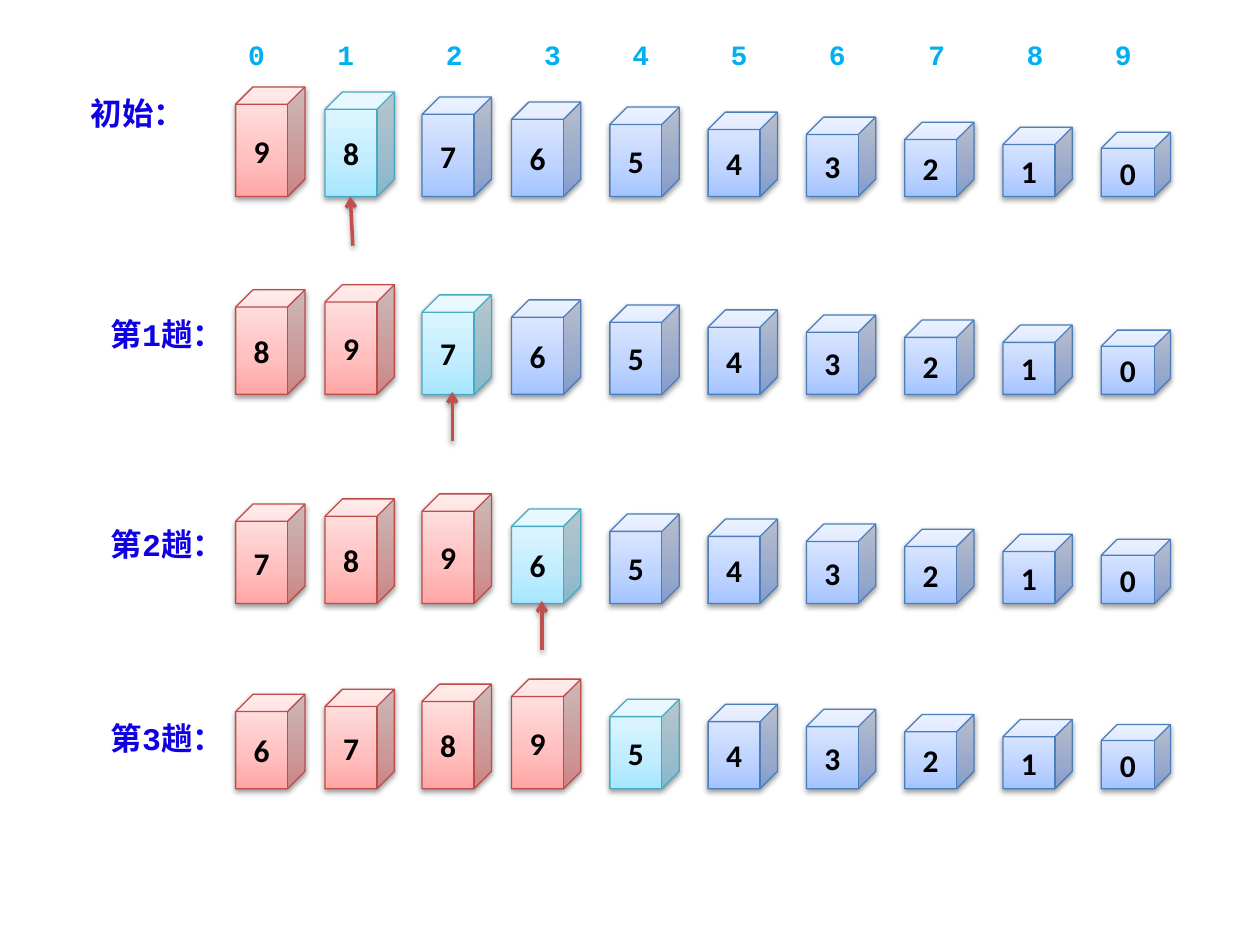
from copy import deepcopy

from pptx import Presentation
from pptx.dml.color import RGBColor
from pptx.enum.shapes import MSO_CONNECTOR, MSO_SHAPE
from pptx.enum.text import MSO_ANCHOR, MSO_AUTO_SIZE, PP_ALIGN
from pptx.oxml import parse_xml
from pptx.oxml.ns import nsdecls, qn
from pptx.util import Inches, Pt

COLORS = {"label": "1000E4", "index": "00B0F0", "value": "000000",
          "arrow": "C0504D", "shadow": "000000"}
CUBE_STYLES = {
    "sorted": {"stops": ("FFA6A5", "FFC0BF", "FFE7E7"), "edge": "BF4C48"},
    "current": {"stops": ("A7E6FF", "C1EDFF", "E7F8FF"), "edge": "46AAC5"},
    "waiting": {"stops": ("A4C4FF", "BFD4FF", "E6EEFF"), "edge": "4B7EBC"},
}
STOP_POSITIONS = (0, 0.35, 1)
COLUMNS = [1.87, 2.58, 3.35, 4.06] + [4.84 + 0.78 * step for step in range(6)]
INDEX_LEFTS = (1.87, 2.58, 3.44, 4.22, 4.92, 5.7, 6.48, 7.27, 8.05, 8.75)
CUBE_WIDTH, LOWEST_CUBE, CUBE_STEP = 0.55, 0.51, 0.04
ARROW_LENGTH = 0.39
PASSES = (
    {"label": "初始：", "label_box": (0.62, 0.7, 1.09, 0.4), "base": 1.56,
     "arrow": {"tail": 0.22, "tip": 0.2, "overlap": 0}},
    {"label": "第1趟：", "label_box": (0.78, 2.45, 0.94, 0.4), "base": 3.13,
     "arrow": {"tail": 0.24, "tip": 0.24, "overlap": 0.02}},
    {"label": "第2趟：", "label_box": (0.78, 4.12, 0.94, 0.4), "base": 4.79,
     "arrow": {"tail": 0.24, "tip": 0.24, "overlap": 0.02}},
    {"label": "第3趟：", "label_box": (0.78, 5.66, 0.94, 0.4), "base": 6.26,
     "arrow": None},
)


def rgb(hex_color):
    """Turn a hex string into a colour."""
    return RGBColor.from_string(hex_color)


def format_paragraph(paragraph, text, font_name, size, color):
    """Write bold text in one font."""
    paragraph.text = text
    font = paragraph.font
    font.name, font.size, font.bold = font_name, Pt(size), True
    font.color.rgb = rgb(color)


def add_shadow(item):
    """Give a shape or connector a soft shadow straight below it."""
    properties = item._element.spPr
    for effects in properties.findall(qn("a:effectLst")):
        properties.remove(effects)
    properties.append(parse_xml(
        f'<a:effectLst {nsdecls("a")}><a:outerShdw blurRad="40000" dist="20000" '
        f'dir="5400000" rotWithShape="0"><a:srgbClr val="{COLORS["shadow"]}">'
        '<a:alpha val="38000"/></a:srgbClr></a:outerShdw></a:effectLst>'))


def fill_upward(shape, stop_colors):
    """Fill a shape with a three-stop gradient that runs from bottom to top."""
    shape.fill.gradient()
    shape.fill.gradient_angle = 90
    stop_list = shape._element.spPr.find(qn("a:gradFill")).find(qn("a:gsLst"))
    stop_list.append(deepcopy(stop_list[-1]))
    for stop, color, position in zip(shape.fill.gradient_stops, stop_colors, STOP_POSITIONS):
        stop.color.rgb = rgb(color)
        stop.position = position


def add_label(shapes, box, text, size, color):
    """Place a wrapped Courier label in its box."""
    label = shapes.add_textbox(*map(Inches, box))
    frame = label.text_frame
    frame.word_wrap = True
    frame.auto_size = MSO_AUTO_SIZE.SHAPE_TO_FIT_TEXT
    format_paragraph(frame.paragraphs[0], text, "Courier New", size, color)


def add_cube(shapes, left, base, value, style):
    """Stand a cube on the base line, as tall as its value asks."""
    height = LOWEST_CUBE + CUBE_STEP * value
    cube = shapes.add_shape(MSO_SHAPE.CUBE, Inches(left), Inches(base - height),
                            Inches(CUBE_WIDTH), Inches(height))
    fill_upward(cube, style["stops"])
    cube.line.color.rgb = rgb(style["edge"])
    cube.line.width = Pt(0.75)
    add_shadow(cube)
    cube.text_frame.vertical_anchor = MSO_ANCHOR.MIDDLE
    paragraph = cube.text_frame.paragraphs[0]
    format_paragraph(paragraph, str(value), "Calibri", 18, COLORS["value"])
    paragraph.alignment = PP_ALIGN.CENTER


def add_pointer(shapes, left, base, arrow):
    """Point an arrow up at the cube that is inserted next."""
    tip_y = base - arrow["overlap"]
    pointer = shapes.add_connector(
        MSO_CONNECTOR.STRAIGHT,
        Inches(left + arrow["tail"]), Inches(tip_y + ARROW_LENGTH),
        Inches(left + arrow["tip"]), Inches(tip_y))
    pointer.line.color.rgb = rgb(COLORS["arrow"])
    pointer.line.width = Pt(2)
    pointer.line._get_or_add_ln().append(
        parse_xml(f'<a:tailEnd {nsdecls("a")} type="arrow"/>'))
    add_shadow(pointer)


def add_index_row(shapes):
    """Number the columns."""
    for index, left in enumerate(INDEX_LEFTS):
        add_label(shapes, (left, 0.25, 0.39, 0.37), str(index), 16, COLORS["index"])


def add_pass(slide, number, sort_pass):
    """Draw the array after one pass of insertion sort, with its label and arrow."""
    shapes = slide.shapes.add_group_shape().shapes if number else slide.shapes
    add_label(shapes, sort_pass["label_box"], sort_pass["label"], 18, COLORS["label"])
    current = number + 1
    values = list(range(9 - number, 10)) + list(range(8 - number, -1, -1))
    for value in sorted(values, reverse=True):
        column = values.index(value)
        state = ("sorted" if column < current
                 else "current" if column == current else "waiting")
        add_cube(shapes, COLUMNS[column], sort_pass["base"], value, CUBE_STYLES[state])
    if sort_pass["arrow"]:
        add_pointer(slide.shapes, COLUMNS[current], sort_pass["base"], sort_pass["arrow"])


def main():
    """Build the insertion sort slide."""
    presentation = Presentation()
    presentation.slide_width, presentation.slide_height = Inches(10), Inches(7.5)
    slide = presentation.slides.add_slide(presentation.slide_layouts[6])
    add_index_row(slide.shapes)
    for number, sort_pass in enumerate(PASSES):
        add_pass(slide, number, sort_pass)
    presentation.save("out.pptx")


if __name__ == "__main__":
    main()
